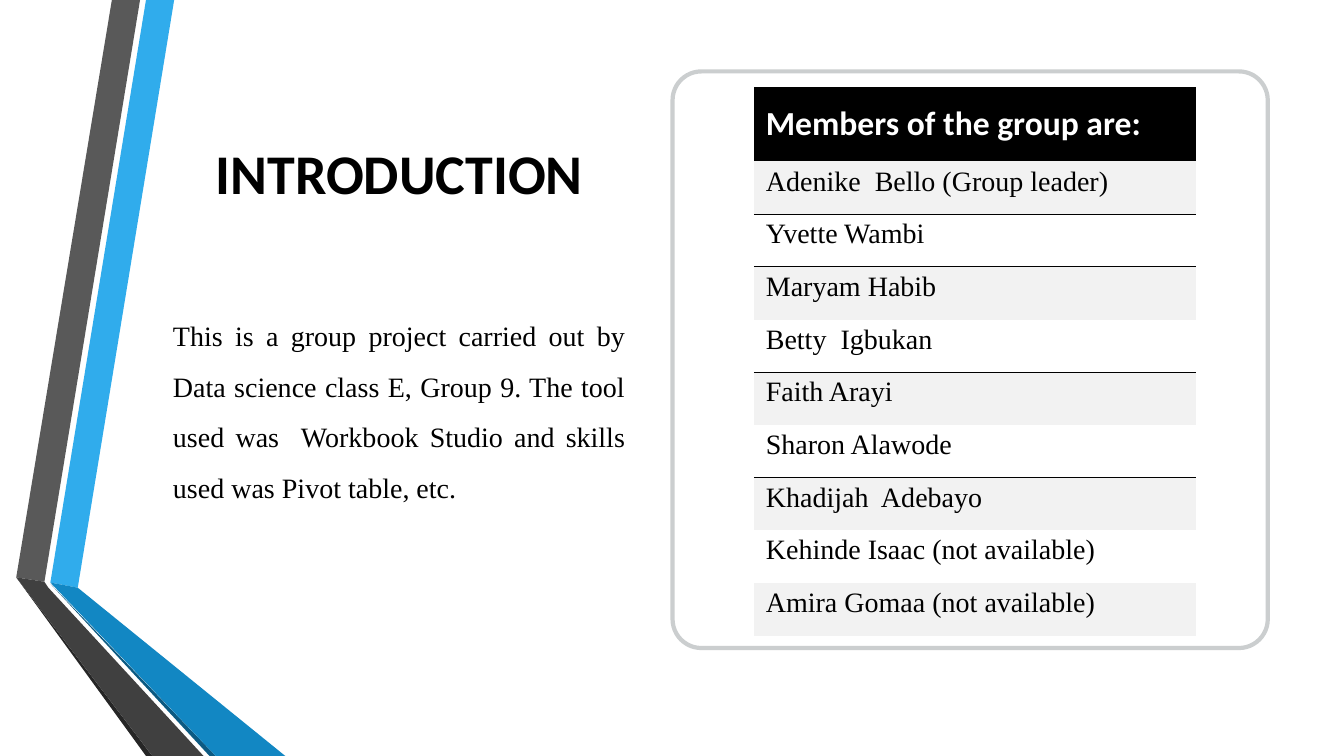
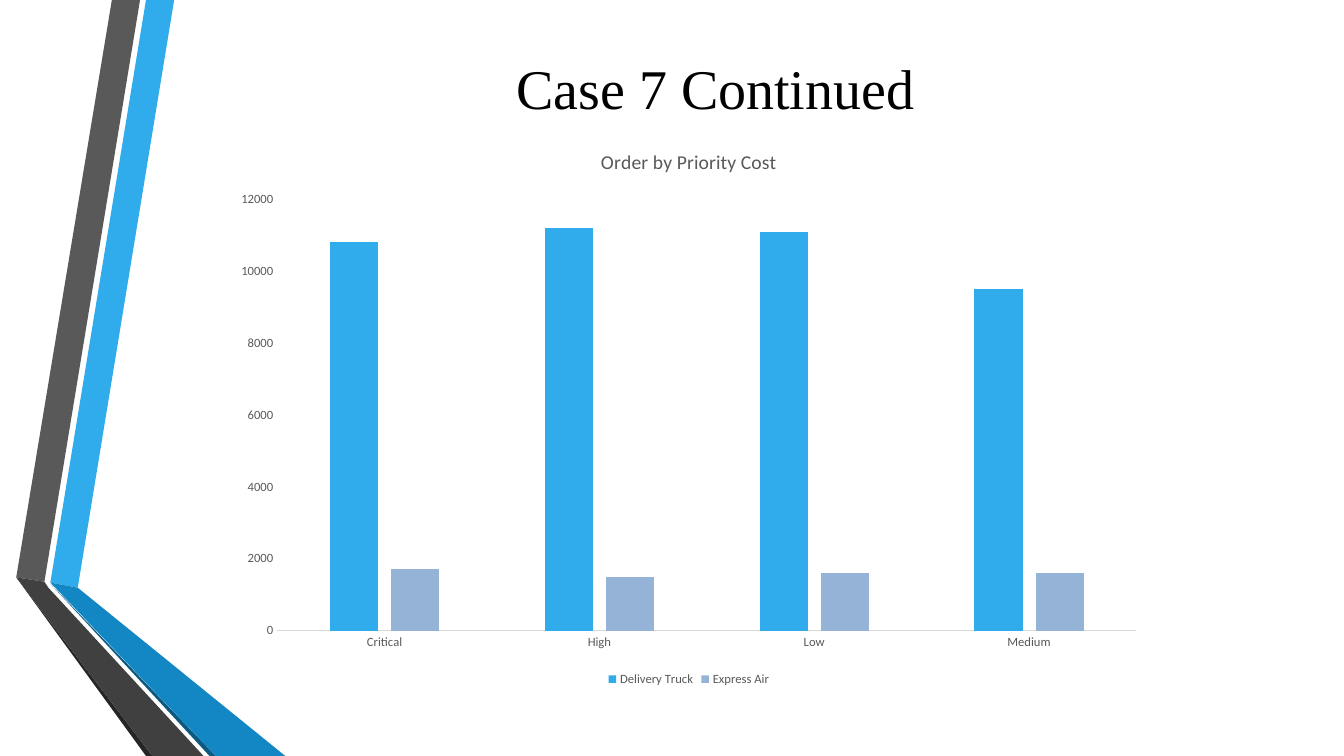
from lxml import etree
from pptx import Presentation
from pptx.chart.data import CategoryChartData
from pptx.dml.color import RGBColor
from pptx.enum.chart import XL_CHART_TYPE, XL_LEGEND_POSITION, XL_TICK_MARK
from pptx.enum.shapes import MSO_SHAPE
from pptx.enum.text import MSO_ANCHOR, PP_ALIGN
from pptx.oxml.ns import qn
from pptx.util import Cm, Pt

CLUSTERED = XL_CHART_TYPE.COLUMN_CLUSTERED
LEGEND_BOTTOM = XL_LEGEND_POSITION.BOTTOM
NO_TICK = XL_TICK_MARK.NONE
ROUNDED = MSO_SHAPE.ROUNDED_RECTANGLE
MIDDLE, BOTTOM = MSO_ANCHOR.MIDDLE, MSO_ANCHOR.BOTTOM
CENTER, JUSTIFY = PP_ALIGN.CENTER, PP_ALIGN.JUSTIFY

SANS, SERIF = "Calibri", "Times New Roman"
SLIDE_WIDTH, SLIDE_HEIGHT = 33.87, 19.05
BLANK_LAYOUT = 6

COLORS = {
    "black": "000000",
    "white": "FFFFFF",
    "sky": "30ACEC",
    "blue": "1287C3",
    "navy": "0C5A82",
    "gray": "595959",
    "charcoal": "404040",
    "soot": "262626",
    "stripe": "F2F2F2",
    "panel line": "CBCECF",
    "axis line": "D9D9D9",
    "pale blue": "95B3D7",
}

# Corner points in centimetres, from back to front
RIBBONS = [
    ("sky", [(1.27, 14.68), (1.96, 14.81), (4.39, 0), (3.68, 0)]),
    ("gray", [(3.53, 0), (2.82, 0), (0.41, 14.55), (1.12, 14.66)]),
    ("soot", [(0.41, 14.55), (3.68, SLIDE_HEIGHT), (3.84, SLIDE_HEIGHT)]),
    ("navy", [(1.27, 14.71), (5.28, SLIDE_HEIGHT), (5.44, SLIDE_HEIGHT)]),
    ("blue", [(1.27, 14.68), (5.44, SLIDE_HEIGHT), (7.19, SLIDE_HEIGHT), (1.96, 14.81)]),
    ("charcoal", [(5.13, SLIDE_HEIGHT), (1.22, 14.81), (1.12, 14.66),
                  (0.41, 14.55), (3.84, SLIDE_HEIGHT)]),
]

INTRODUCTION = (
    "This is a group project carried out by Data science class E, Group 9. "
    "The tool used was  Workbook Studio and skills used was Pivot table, etc."
)
MEMBERS = [
    "Adenike  Bello (Group leader)",
    "Yvette Wambi",
    "Maryam Habib",
    "Betty  Igbukan",
    "Faith Arayi",
    "Sharon Alawode",
    "Khadijah  Adebayo",
    "Kehinde Isaac (not available)",
    "Amira Gomaa (not available)",
]
RULED_ROWS = {1, 2, 4, 6}

PRIORITIES = ["Critical", "High", "Low", "Medium"]
SHIPPING_COSTS = [
    ("Delivery Truck", "sky", [10800, 11200, 11100, 9500]),
    ("Express Air", "pale blue", [1700, 1500, 1600, 1600]),
]


def color(name):
    return RGBColor.from_string(COLORS[name])


def paint(fill, name):
    fill.solid()
    fill.fore_color.rgb = color(name)


def style_font(font, face, size, color_name="black", bold=False):
    font.name = face
    font.size = Pt(size)
    font.bold = bold
    font.color.rgb = color(color_name)


def add_ribbons(slide):
    for color_name, corners in RIBBONS:
        points = [(Cm(x), Cm(y)) for x, y in corners]
        builder = slide.shapes.build_freeform(*points[0])
        builder.add_line_segments(points[1:])
        ribbon = builder.convert_to_shape()
        ribbon.shadow.inherit = False
        paint(ribbon.fill, color_name)
        ribbon.line.fill.background()


def add_slide(deck):
    slide = deck.slides.add_slide(deck.slide_layouts[BLANK_LAYOUT])
    paint(slide.background.fill, "white")
    add_ribbons(slide)
    return slide


def add_text(slide, text, area, alignment, face, size, bold=False):
    """Add a vertically centred text box and return its paragraph."""
    box = slide.shapes.add_textbox(*map(Cm, area))
    frame = box.text_frame
    frame.word_wrap = True
    frame.vertical_anchor = MIDDLE
    para = frame.paragraphs[0]
    para.text = text
    para.alignment = alignment
    style_font(para.font, face, size, bold=bold)
    return para


def add_title(slide, text, area, face, bold=False):
    add_text(slide, text, area, CENTER, face, 40, bold)


def add_panel(slide, area):
    panel = slide.shapes.add_shape(ROUNDED, *map(Cm, area))
    panel.adjustments[0] = 0.05
    panel.shadow.inherit = False
    paint(panel.fill, "white")
    panel.line.color.rgb = color("panel line")
    panel.line.width = Pt(3)


def set_borders(cell, ruled_edges):
    """Rule the given edges in black and clear the others."""
    properties = cell._tc.get_or_add_tcPr()
    for position, edge in enumerate(("lnL", "lnR", "lnT", "lnB")):
        line = etree.Element(qn(f"a:{edge}"), w=str(Pt(1)))
        if edge in ruled_edges:
            fill = etree.SubElement(line, qn("a:solidFill"))
            etree.SubElement(fill, qn("a:srgbClr"), val=COLORS["black"])
        else:
            etree.SubElement(line, qn("a:noFill"))
        properties.insert(position, line)


def fill_cell(cell, text, top_margin, anchor):
    cell.text = text
    cell.vertical_anchor = anchor
    cell.margin_left, cell.margin_right = Cm(0.3), Cm(0.2)
    cell.margin_top, cell.margin_bottom = Cm(top_margin), Cm(0.43)
    return cell.text_frame.paragraphs[0].font


def add_member_table(slide, heading, members):
    header_height, row_height, width = 1.6, 1.2, 11.13
    height = header_height + row_height * len(members)
    frame = slide.shapes.add_table(
        len(members) + 1, 1, Cm(19), Cm(2.19), Cm(width), Cm(height))
    table = frame.table
    table.horz_banding = False
    for row in table.rows:
        row.height = Cm(row_height)
    table.rows[0].height = Cm(header_height)

    header = table.cell(0, 0)
    style_font(fill_cell(header, heading, 0.43, MIDDLE), SANS, 24, "white", True)
    paint(header.fill, "black")
    set_borders(header, set())

    for number, member in enumerate(members, start=1):
        cell = table.cell(number, 0)
        style_font(fill_cell(cell, member, 0.05, BOTTOM), SERIF, 20)
        if number % 2:
            paint(cell.fill, "stripe")
        else:
            cell.fill.background()
        edges = {"lnT": number - 1, "lnB": number}
        set_borders(cell, {edge for edge, row in edges.items() if row in RULED_ROWS})


def style_axis(axis):
    axis.has_major_gridlines = False
    axis.major_tick_mark = axis.minor_tick_mark = NO_TICK
    style_font(axis.tick_labels.font, SANS, 9, "gray")


def add_column_chart(slide, title, categories, series_rows, area):
    data = CategoryChartData()
    data.categories = categories
    for name, _, values in series_rows:
        data.add_series(name, values)
    chart = slide.shapes.add_chart(CLUSTERED, *map(Cm, area), data).chart
    style_font(chart.font, SANS, 10)

    chart.has_title = True
    heading = chart.chart_title.text_frame
    heading.text = title
    style_font(heading.paragraphs[0].font, SANS, 14, "gray")

    chart.has_legend = True
    chart.legend.position = LEGEND_BOTTOM
    chart.legend.include_in_layout = False
    style_font(chart.legend.font, SANS, 9, "gray")

    style_axis(chart.category_axis)
    chart.category_axis.format.line.color.rgb = color("axis line")
    chart.category_axis.format.line.width = Pt(0.75)
    style_axis(chart.value_axis)
    chart.value_axis.format.line.fill.background()
    chart.value_axis.minimum_scale = 0
    chart.value_axis.maximum_scale = 12000
    chart.value_axis.major_unit = 2000

    plot = chart.plots[0]
    plot.vary_by_categories = False
    plot.gap_width = 219
    plot.overlap = -27
    for series, (_, color_name, _) in zip(plot.series, series_rows):
        paint(series.format.fill, color_name)


def build_introduction(deck):
    slide = add_slide(deck)
    add_title(slide, "INTRODUCTION", (4.11, 1.9, 11.9, 4.88), SANS, bold=True)
    para = add_text(slide, INTRODUCTION, (4.11, 6.38, 11.9, 7.55), JUSTIFY, SERIF, 20)
    para.line_spacing = 1.5
    add_panel(slide, (16.95, 1.8, 15, 14.53))
    add_member_table(slide, "Members of the group are:", MEMBERS)


def build_priority_costs(deck):
    slide = add_slide(deck)
    add_title(slide, "Case 7 Continued", (4.11, 0.6, 27.84, 3.18), SERIF)
    add_column_chart(slide, "Order by Priority Cost", PRIORITIES, SHIPPING_COSTS,
                     (5.61, 3.23, 23.5, 14.17))


def main():
    deck = Presentation()
    deck.slide_width, deck.slide_height = Cm(SLIDE_WIDTH), Cm(SLIDE_HEIGHT)
    build_introduction(deck)
    build_priority_costs(deck)
    deck.save("out.pptx")


if __name__ == "__main__":
    main()
